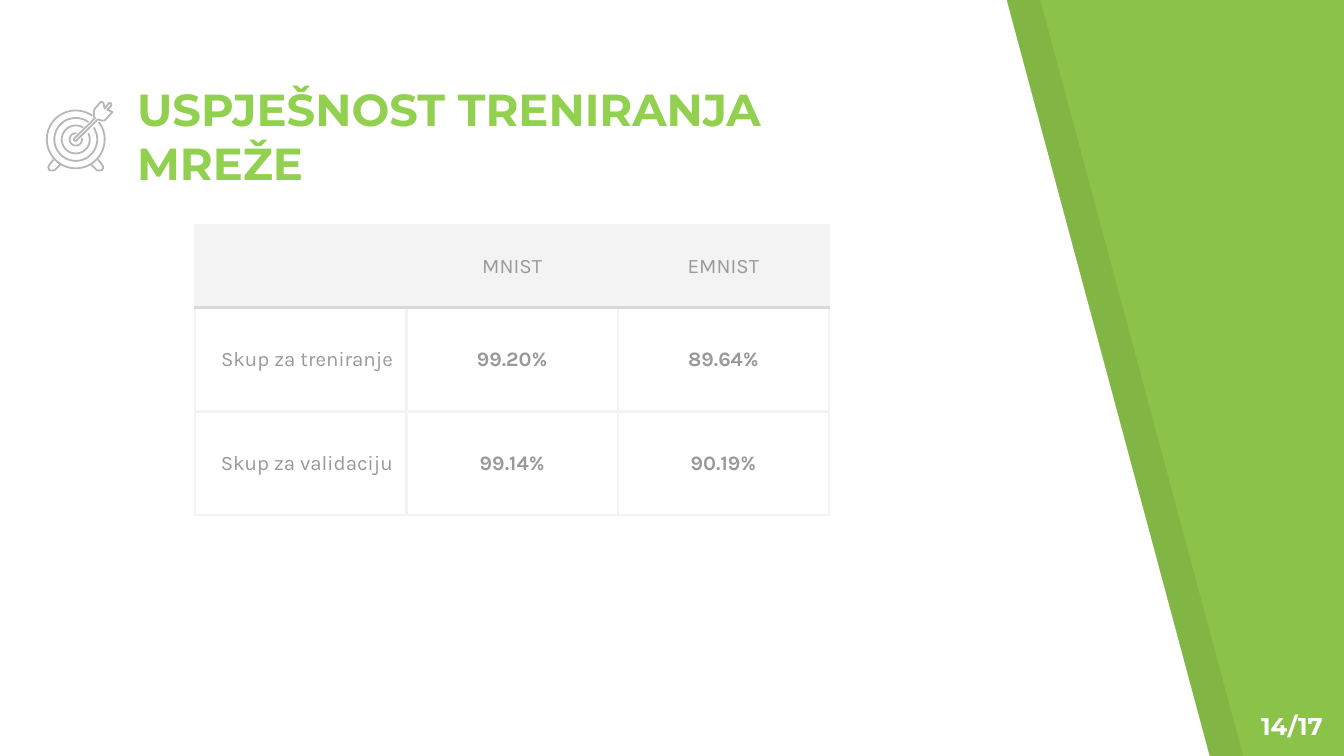
from math import cos, radians, sin

from lxml import etree
from pptx import Presentation
from pptx.dml.color import RGBColor
from pptx.enum.text import MSO_ANCHOR as Anchor, PP_ALIGN as Align
from pptx.oxml.ns import qn
from pptx.util import Pt

COLORS = {
    "green": "8BC34A",
    "title": "92D050",
    "white": "FFFFFF",
    "black": "000000",
    "text": "999999",
    "grid": "F3F3F3",
    "header_rule": "D9D9D9",
    "icon": "B7B7B7",
}
WIDTH, HEIGHT = 720, 405

ROWS = [
    ["", "MNIST", "EMNIST"],
    ["Skup za treniranje", "99.20%", "89.64%"],
    ["Skup za validaciju", "99.14%", "90.19%"],
]

# Icon parts, in points from the icon's top left corner
TARGET_CENTER = (15.5, 20.2)
RINGS = [(15.5, -37, 305), (11.5, -34, 306), (7.5, -27, 302), (3.3, -12, 276)]
FOOT = [(3.6, 31), (1.4, 33.8), (0.7, 35.3), (1.4, 36.7), (2.9, 36.9),
        (4.3, 36.7), (7.2, 33.8)]
ARROW = [(34.6, 5.2), (32.4, 4.3), (34.6, 2.2), (34.6, 0.9), (33.3, 0.7),
         (31, 3.6), (30.4, 0.7), (29.5, 0), (28.8, 0.2), (25.9, 3.6),
         (25.2, 5), (25.3, 7.9), (25.9, 8.8), (15, 19.4), (14.4, 20.2),
         (15.1, 21), (15.9, 20.8), (27.4, 9.4), (29.5, 10.1), (31, 10),
         (31.7, 9.4), (34.6, 6.1), (35.2, 5.6)]


def rgb(name):
    return RGBColor.from_string(COLORS[name])


def style_font(paragraph, name, size, color, bold=False):
    font = paragraph.font
    font.name, font.size, font.bold = name, Pt(size), bold
    font.color.rgb = rgb(color)


def add_outline(slide, points, close):
    """Draw a freeform through points and return it without fill or line."""
    points = [(Pt(x), Pt(y)) for x, y in points]
    builder = slide.shapes.build_freeform(*points[0])
    builder.add_line_segments(points[1:], close=close)
    shape = builder.convert_to_shape()
    shape.shadow.inherit = False
    shape.fill.background()
    shape.line.fill.background()
    return shape


def add_text(slide, box, text, size, color, align, anchor):
    shape = slide.shapes.add_textbox(*map(Pt, box))
    frame = shape.text_frame
    frame.word_wrap = True
    frame.vertical_anchor = anchor
    frame.margin_left = frame.margin_right = Pt(7.2)
    frame.margin_top = frame.margin_bottom = Pt(7.2)
    paragraph = frame.paragraphs[0]
    paragraph.text = text
    paragraph.alignment = align
    style_font(paragraph, "Montserrat", size, color, bold=True)


def add_backdrop(slide, box):
    """Green background with a slanted white panel and its shade."""
    left, top, width, height = box
    slide.background.fill.solid()
    slide.background.fill.fore_color.rgb = rgb("green")
    for offset, color in ((18, "black"), (0, "white")):
        x = left + offset
        panel = add_outline(slide, [
            (x, top), (x + width - 108.7, top),
            (x + width, top + height), (x, top + height)], close=True)
        panel.fill.solid()
        panel.fill.fore_color.rgb = rgb(color)
        if color == "black":
            color_node = panel.fill._xPr.find(".//" + qn("a:srgbClr"))
            etree.SubElement(color_node, qn("a:alpha"), val="7000")


def add_target_icon(slide, left, top):
    """Target with open rings, two feet and an arrow."""
    center_x, center_y = TARGET_CENTER
    outlines = []
    for radius, start, end in RINGS:
        steps = 60
        angles = [radians(start + (end - start) * i / steps)
                  for i in range(steps + 1)]
        outlines.append([(center_x + radius * cos(a), center_y + radius * sin(a))
                         for a in angles])
    outlines += [FOOT, [(2 * center_x - x, y) for x, y in FOOT], ARROW]
    for points in outlines:
        shape = add_outline(slide, [(left + x, top + y) for x, y in points],
                            close=points is ARROW)
        shape.line.color.rgb = rgb("icon")
        shape.line.width = Pt(0.96)


def set_borders(cell, colors):
    """Set left, right, top and bottom borders, in that order."""
    properties = cell._tc.get_or_add_tcPr()
    for index, (side, color) in enumerate(zip("LRTB", colors)):
        line = etree.Element(qn(f"a:ln{side}"), w=str(Pt(1.5)))
        fill = etree.SubElement(line, qn("a:solidFill"))
        etree.SubElement(fill, qn("a:srgbClr"), val=COLORS[color])
        properties.insert(index, line)


def add_results_table(slide, box):
    left, top, width, height = box
    header_height = 44
    row_height = (height - header_height) / (len(ROWS) - 1)
    table = slide.shapes.add_table(
        len(ROWS), len(ROWS[0]), *map(Pt, box)).table
    table.first_row = table.horz_banding = False
    for column in table.columns:
        column.width = Pt(width / len(ROWS[0]))
    for r, texts in enumerate(ROWS):
        table.rows[r].height = Pt(row_height if r else header_height)
        for c, text in enumerate(texts):
            cell = table.cell(r, c)
            cell.vertical_anchor = Anchor.MIDDLE
            cell.margin_left = cell.margin_right = Pt(7.2)
            cell.margin_top = cell.margin_bottom = Pt(5)
            if r == 0:
                cell.fill.solid()
                cell.fill.fore_color.rgb = rgb("grid")
            else:
                cell.fill.background()
            set_borders(cell, ("grid", "grid",
                               "header_rule" if r == 1 else "grid",
                               "header_rule" if r == 0 else "grid"))
            paragraph = cell.text_frame.paragraphs[0]
            if text:
                paragraph.text = text
            paragraph.alignment = Align.CENTER if c else Align.RIGHT
            style_font(paragraph, "Karla", 11, "text", bold=r > 0 and c > 0)


def main():
    presentation = Presentation()
    presentation.slide_width, presentation.slide_height = Pt(WIDTH), Pt(HEIGHT)
    slide = presentation.slides.add_slide(presentation.slide_layouts[6])

    add_backdrop(slide, (0, 0, 648, HEIGHT))
    add_text(slide, (66.4, 76.4, 378, 32.4), "USPJEŠNOST TRENIRANJA MREŽE",
             24, "title", Align.LEFT, Anchor.BOTTOM)
    add_results_table(slide, (104.6, 120.8, 339.6, 155.2))
    add_target_icon(slide, 25.1, 54.5)
    add_text(slide, (663, 373.7, 52.6, 31), "14/17",
             13, "white", Align.RIGHT, Anchor.TOP)

    presentation.save("out.pptx")


if __name__ == "__main__":
    main()
